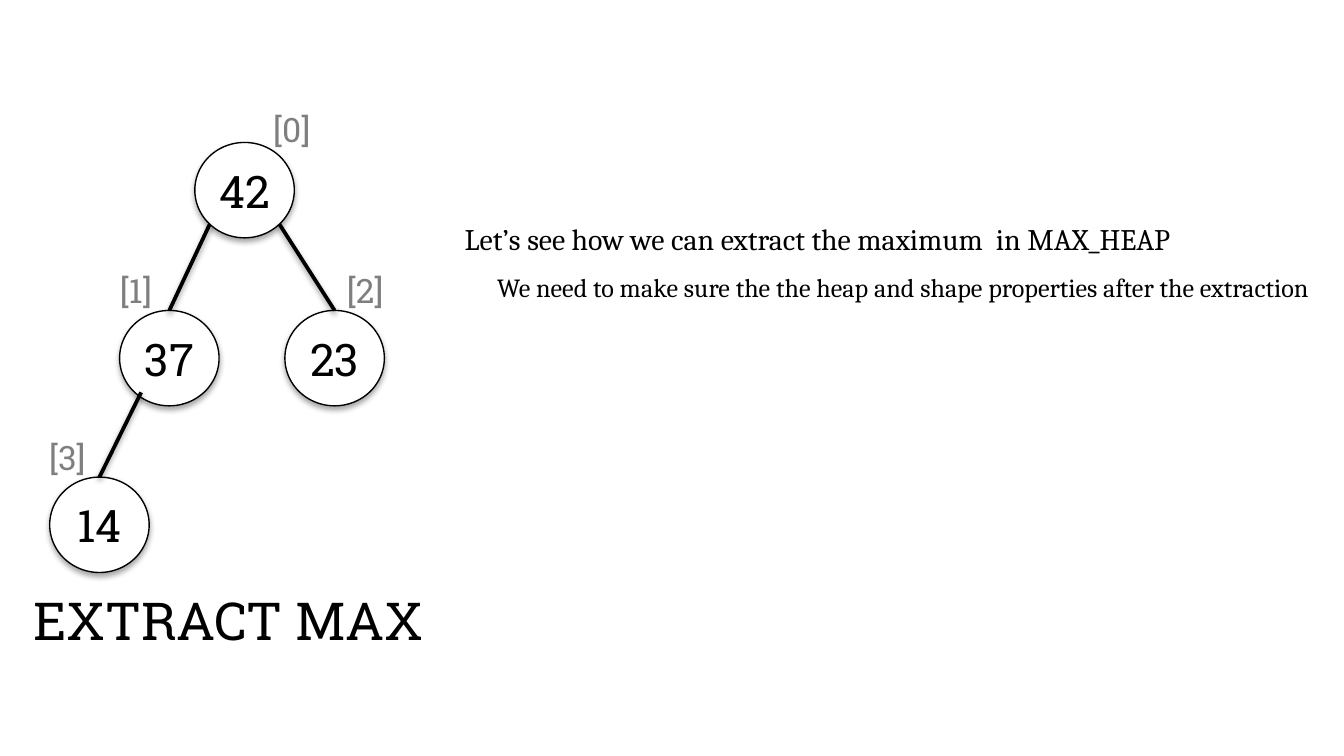
from typing import NamedTuple, Optional

from lxml import etree
from pptx import Presentation
from pptx import util as u
from pptx.dml.color import RGBColor
from pptx.enum import shapes, text
from pptx.oxml.ns import qn

SLAB, SERIF = "Roboto Slab", "Cambria"
BLACK, WHITE, GRAY = "000000", "FFFFFF", "7F7F7F"
NODE_WIDTH, NODE_HEIGHT = 0.74, 0.71
LEFT, CENTER = text.PP_ALIGN.LEFT, text.PP_ALIGN.CENTER


class Node(NamedTuple):
    value: str
    left: float
    top: float
    index: str
    index_box: tuple
    edge_start: Optional[tuple] = None
    index_align: text.PP_ALIGN = CENTER


class Line(NamedTuple):
    wording: str
    box: tuple
    size: int


NODES = [
    Node("42", 1.45, 1.06, "[0]", (1.93, 0.76, 0.48, 0.4)),
    Node("37", 0.89, 2.31, "[1]", (0.79, 1.96, 0.44, 0.4), (1.56, 1.67)),
    Node("23", 2.12, 2.31, "[2]", (2.48, 1.96, 0.48, 0.4), (2.08, 1.67), LEFT),
    Node("14", 0.37, 3.55, "[3]", (0.26, 3.2, 0.48, 0.4), (1.05, 2.92)),
]
LINES = [
    Line("Let’s see how we can extract the maximum  in MAX_HEAP",
         (3.36, 1.59, 5.7, 0.37), 16),
    Line("We need to make sure the the heap and shape properties after the extraction",
         (3.6, 1.97, 6.41, 0.34), 14),
]


def color(value: str) -> RGBColor:
    return RGBColor.from_string(value)


def add_shadow(shape, distance: float, opacity: int) -> None:
    """Give a shape or connector a soft shadow falling straight down."""
    effects = etree.SubElement(shape._element.spPr, qn("a:effectLst"))
    shadow = etree.SubElement(
        effects, qn("a:outerShdw"), blurRad=str(u.Pt(3.1)),
        dist=str(u.Pt(distance)), dir="5400000", rotWithShape="0")
    tint = etree.SubElement(shadow, qn("a:srgbClr"), val=BLACK)
    etree.SubElement(tint, qn("a:alpha"), val=str(opacity * 1000))


def write(shape, wording: str, size: int, font: str = SLAB,
          ink: str = BLACK, align: text.PP_ALIGN = CENTER) -> None:
    frame = shape.text_frame
    frame.text = wording
    paragraph = frame.paragraphs[0]
    paragraph.alignment = align
    run_font = paragraph.runs[0].font
    run_font.size = u.Pt(size)
    run_font.name = font
    run_font.color.rgb = color(ink)


def add_label(slide, box: tuple, wording: str, size: int, **style) -> None:
    label = slide.shapes.add_textbox(*map(u.Inches, box))
    label.text_frame.word_wrap = False
    label.text_frame.auto_size = text.MSO_AUTO_SIZE.SHAPE_TO_FIT_TEXT
    write(label, wording, size, **style)


def add_node(slide, node: Node) -> None:
    circle = slide.shapes.add_shape(
        shapes.MSO_SHAPE.OVAL, u.Inches(node.left), u.Inches(node.top),
        u.Inches(NODE_WIDTH), u.Inches(NODE_HEIGHT))
    circle.fill.solid()
    circle.fill.fore_color.rgb = color(WHITE)
    circle.line.color.rgb = color(BLACK)
    circle.line.width = u.Pt(0.75)
    add_shadow(circle, 1.8, 35)
    frame = circle.text_frame
    frame.margin_left = frame.margin_right = u.Inches(0.04)
    frame.vertical_anchor = text.MSO_ANCHOR.MIDDLE
    write(circle, node.value, 24)

    # Edge from the parent to the top of this node
    if node.edge_start:
        x, y = map(u.Inches, node.edge_start)
        edge = slide.shapes.add_connector(shapes.MSO_CONNECTOR.STRAIGHT, x, y, x, y)
        edge.end_connect(circle, 0)
        edge.line.color.rgb = color(BLACK)
        edge.line.width = u.Pt(2)
        add_shadow(edge, 1.6, 38)

    add_label(slide, node.index_box, node.index, 18, ink=GRAY, align=node.index_align)


def format_title(title) -> None:
    title.left, title.top, title.width, title.height = map(
        u.Inches, (0.12, 4.33, 3.16, 0.57))
    frame = title.text_frame
    frame.word_wrap = False
    frame.auto_size = text.MSO_AUTO_SIZE.NONE
    frame.vertical_anchor = text.MSO_ANCHOR.TOP
    write(title, "EXTRACT MAX", 28)


def main() -> None:
    presentation = Presentation()
    # Widescreen, 16:9
    presentation.slide_width = u.Inches(10)
    presentation.slide_height = presentation.slide_width * 9 // 16
    slide = presentation.slides.add_slide(presentation.slide_layouts[5])

    # Heap tree
    for node in NODES:
        add_node(slide, node)

    # Title below the tree
    format_title(slide.shapes.title)

    # Explanation
    for line in LINES:
        add_label(slide, line.box, line.wording, line.size, font=SERIF, align=LEFT)

    presentation.save("out.pptx")


if __name__ == "__main__":
    main()
